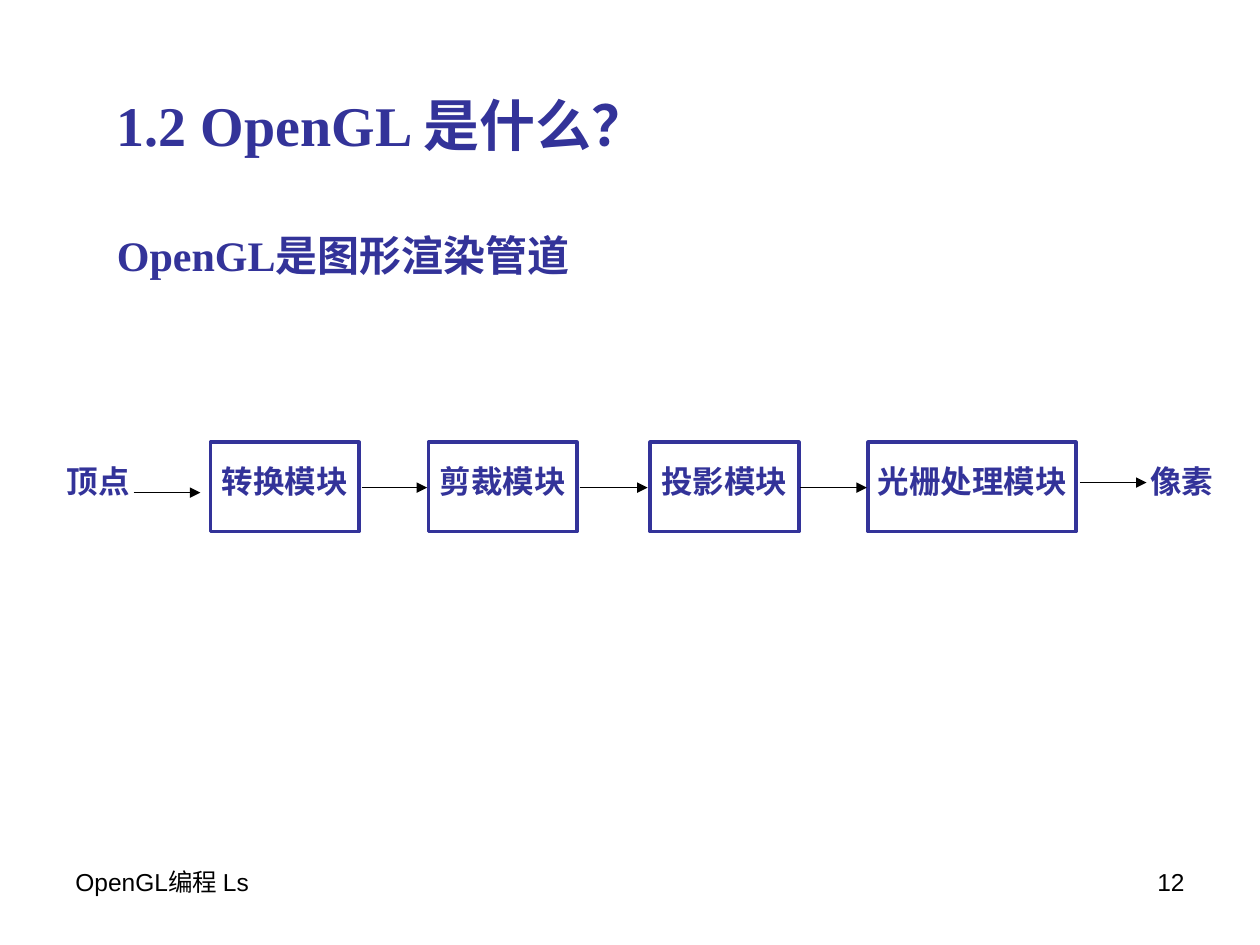
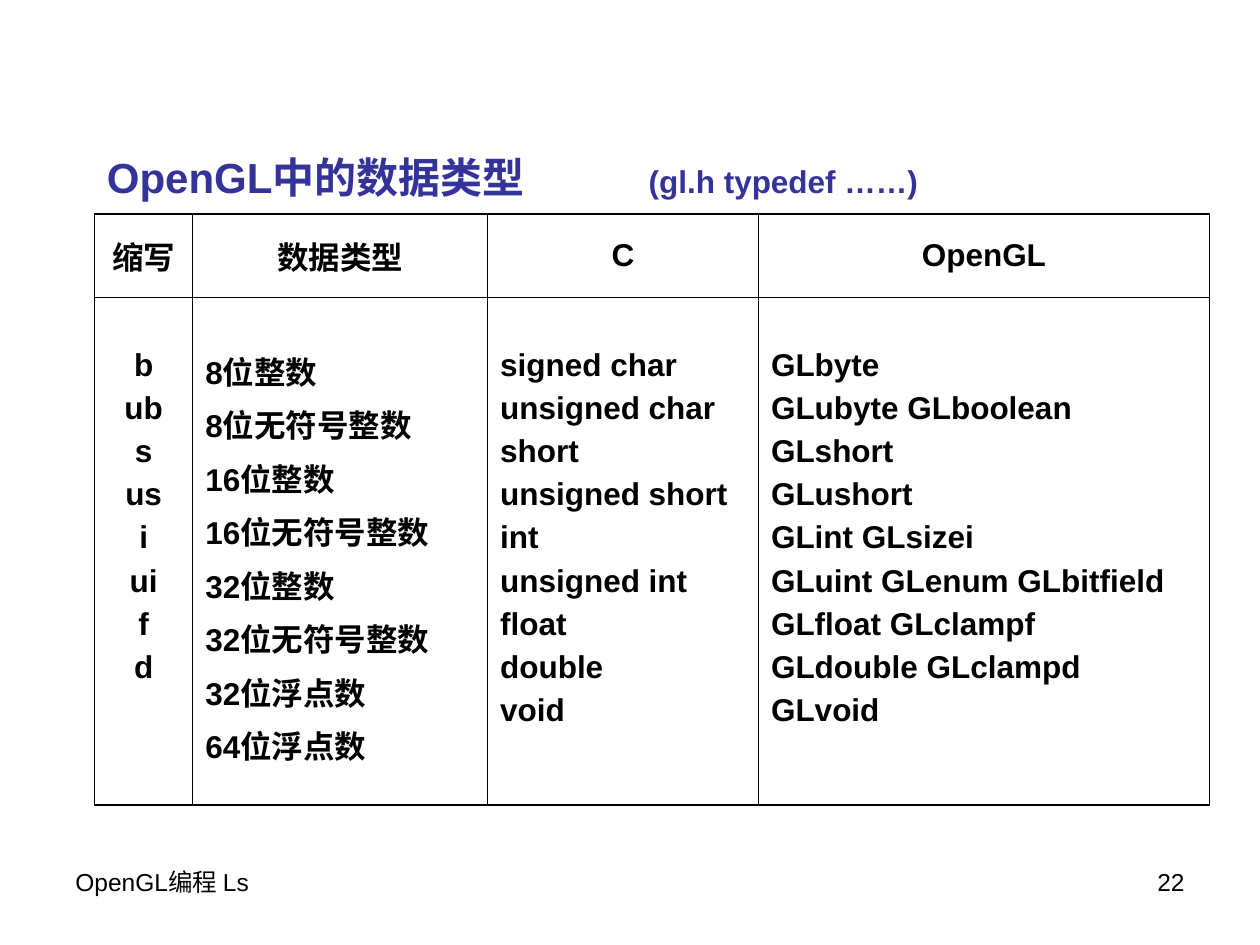
import pptx
import pptx.util
import pptx.dml.color
import pptx.enum.shapes
import pptx.enum.text
import pptx.oxml
import pptx.oxml.ns
from lxml import etree

Inches = pptx.util.Inches
Pt = pptx.util.Pt
qn = pptx.oxml.ns.qn
ALIGN = pptx.enum.text.PP_ALIGN
ANCHOR = pptx.enum.text.MSO_ANCHOR
NAVY = pptx.dml.color.RGBColor(0x33, 0x33, 0x99)
BLACK = pptx.dml.color.RGBColor(0, 0, 0)


def write(frame, text, size=18, color=BLACK, bold=True, font="Arial", align=ALIGN.LEFT, gap=0):
    for row, line in enumerate(text.split("\n")):
        para = frame.add_paragraph() if row else frame.paragraphs[0]
        para.alignment = align
        if row and gap:
            para.space_before = Pt(gap)
        run = para.add_run()
        run.text = line
        run.font.name = font
        run.font.size = Pt(size)
        run.font.bold = bold
        run.font.color.rgb = color


def add_box(slide, left, top, width, height, wrap=True):
    box = slide.shapes.add_textbox(Inches(left), Inches(top), Inches(width), Inches(height))
    box.text_frame.word_wrap = wrap
    return box.text_frame


deck = pptx.Presentation()
deck.slide_width = Inches(10)
deck.slide_height = Inches(7.5)

for number in ("12", "22"):
    slide = deck.slides.add_slide(deck.slide_layouts[6])
    write(add_box(slide, 7.17, 6.83, 2.33, 0.52), number, size=14, bold=False, align=ALIGN.RIGHT)
    write(add_box(slide, 0.5, 6.83, 2.33, 0.52), "OpenGL编程 Ls", size=14, bold=False)

pipe, types = deck.slides

write(add_box(pipe, 0.83, 0.67, 5.12, 0.64), "1.2 OpenGL 是什么？",
      size=32, color=NAVY, font="Times New Roman")
write(add_box(pipe, 0.83, 1.77, 4.41, 0.5), "OpenGL是图形渲染管道",
      size=24, color=NAVY, font="Times New Roman")

for left, label in ((0.43, "顶点"), (9.03, "像素")):
    write(add_box(pipe, left, 3.62, 0.7, 0.4, wrap=False), label, color=NAVY)

stages = [(1.67, 1.18, "转换模块"), (3.4, 1.18, "剪裁模块"),
          (5.16, 1.18, "投影模块"), (6.89, 1.65, "光栅处理模块")]
for left, width, label in stages:
    stage = pipe.shapes.add_shape(pptx.enum.shapes.MSO_SHAPE.RECTANGLE,
                                  Inches(left), Inches(3.51), Inches(width), Inches(0.71))
    stage.shadow.inherit = False
    stage.fill.background()
    stage.line.color.rgb = NAVY
    stage.line.width = Pt(2)
    frame = stage.text_frame
    frame.word_wrap = False
    frame.vertical_anchor = ANCHOR.TOP
    frame.margin_top = Inches(0.16)
    write(frame, label, color=NAVY, align=ALIGN.CENTER)

arrows = [(1.06, 1.59, 3.91), (2.87, 3.39, 3.87), (4.6, 5.14, 3.87),
          (6.35, 6.88, 3.87), (8.57, 9.1, 3.83)]
for start, end, level in arrows:
    arrow = pipe.shapes.add_connector(pptx.enum.shapes.MSO_CONNECTOR.STRAIGHT,
                                      Inches(start), Inches(level), Inches(end), Inches(level))
    arrow.line.color.rgb = BLACK
    arrow.line.width = Pt(0.75)
    props = arrow.element.spPr
    etree.SubElement(props.find(qn("a:ln")), qn("a:tailEnd"), type="triangle")
    etree.SubElement(props, qn("a:effectLst"))

head = add_box(types, 0.75, 1.15, 6.85, 0.5)
stops = etree.SubElement(head.paragraphs[0]._p.get_or_add_pPr(), qn("a:tabLst"))
etree.SubElement(stops, qn("a:tab"), pos=str(Inches(4.3)), algn="l")
write(head, "OpenGL中的数据类型\t", size=24, color=NAVY)
write(head, "(gl.h typedef ……)", color=NAVY)

columns = [
    (0.78, "缩写", "b\nub\ns\nus\ni\nui\nf\nd"),
    (2.34, "数据类型", "8位整数\n8位无符号整数\n16位整数\n16位无符号整数\n"
                   "32位整数\n32位无符号整数\n32位浮点数\n64位浮点数"),
    (2.15, "C", "signed char\nunsigned char\nshort\nunsigned short\n"
                "int\nunsigned int\nfloat\ndouble\nvoid"),
    (3.58, "OpenGL", "GLbyte\nGLubyte GLboolean\nGLshort\nGLushort\nGLint GLsizei\n"
                     "GLuint GLenum GLbitfield\nGLfloat GLclampf\n"
                     "GLdouble GLclampd\nGLvoid"),
]
table = types.shapes.add_table(2, len(columns), Inches(0.75), Inches(1.7),
                               Inches(8.86), Inches(4.69)).table
table.first_row = False
table.horz_banding = False
table.rows[0].height = Inches(0.66)
table.rows[1].height = Inches(4.03)

for col, (width, title, body) in enumerate(columns):
    table.columns[col].width = Inches(width)
    for row, text in enumerate((title, body)):
        cell = table.cell(row, col)
        cell.margin_left = cell.margin_right = Inches(0.1)
        cell.margin_top = Inches(0.4 if row else 0.05)
        cell.margin_bottom = Inches(0.05)
        cell.vertical_anchor = ANCHOR.TOP if row else ANCHOR.MIDDLE
        centred = row == 0 or col == 0
        write(cell.text_frame, text, gap=4.5, align=ALIGN.CENTER if centred else ALIGN.LEFT)
        outer = {"L": col == 0, "R": col == len(columns) - 1, "T": row == 0, "B": row == 1}
        for side, edge in outer.items():
            line = etree.SubElement(cell._tc.get_or_add_tcPr(), qn("a:ln" + side),
                                    w=str(Pt(1.08 if edge else 0.45)))
            fill = etree.SubElement(line, qn("a:solidFill"))
            etree.SubElement(fill, qn("a:srgbClr"), val=str(BLACK))
        cell.fill.background()

deck.save("out.pptx")
